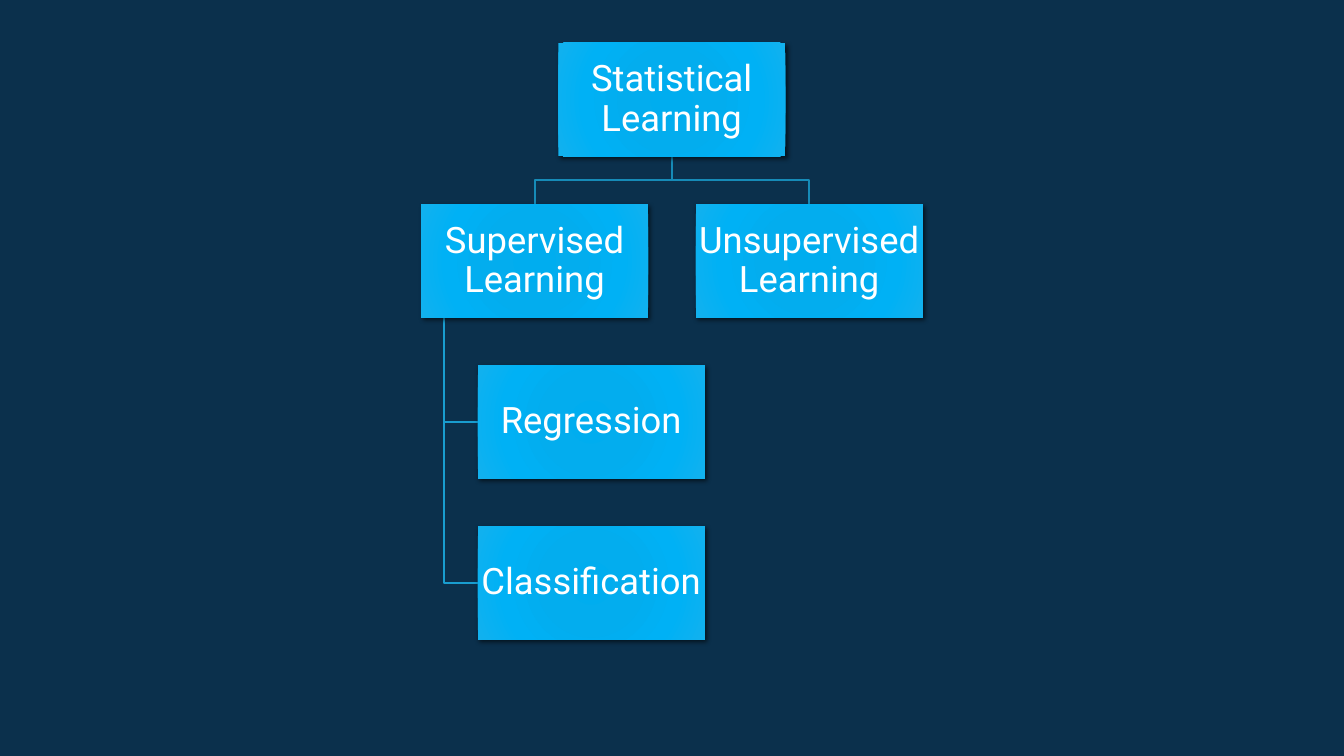
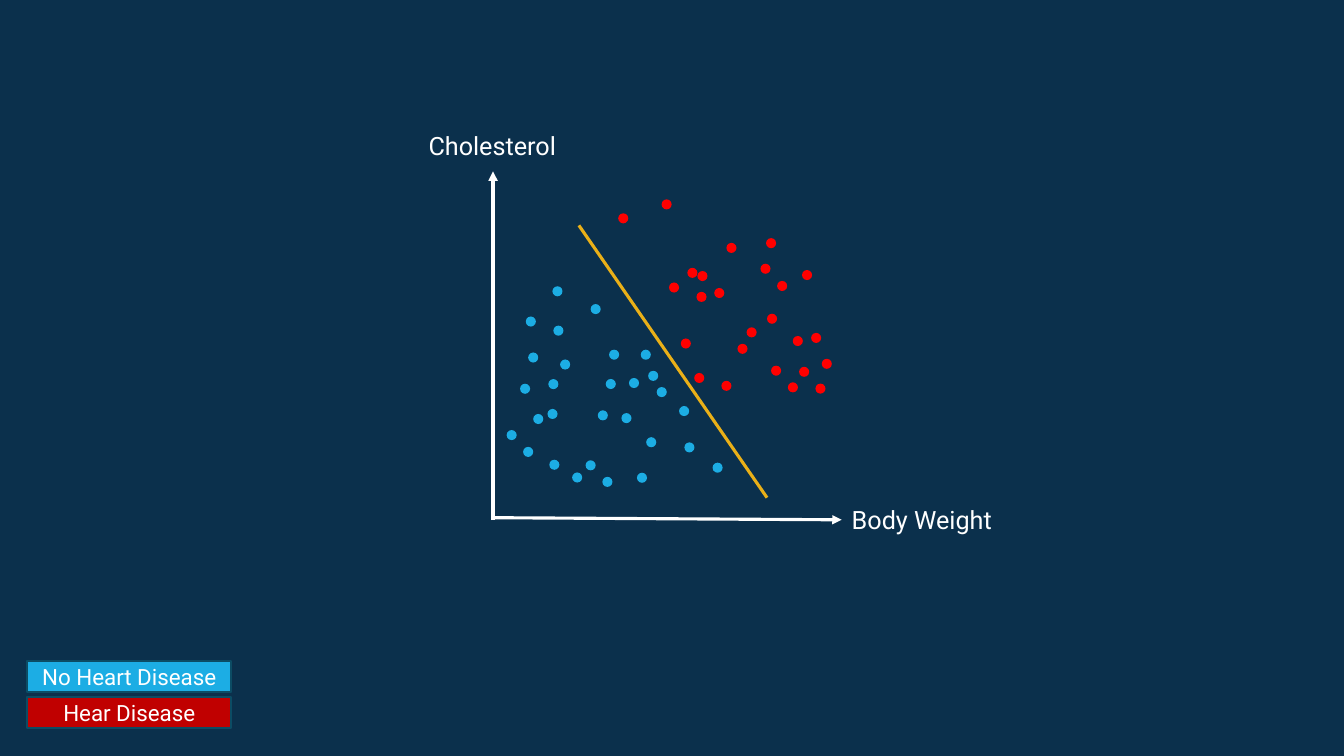
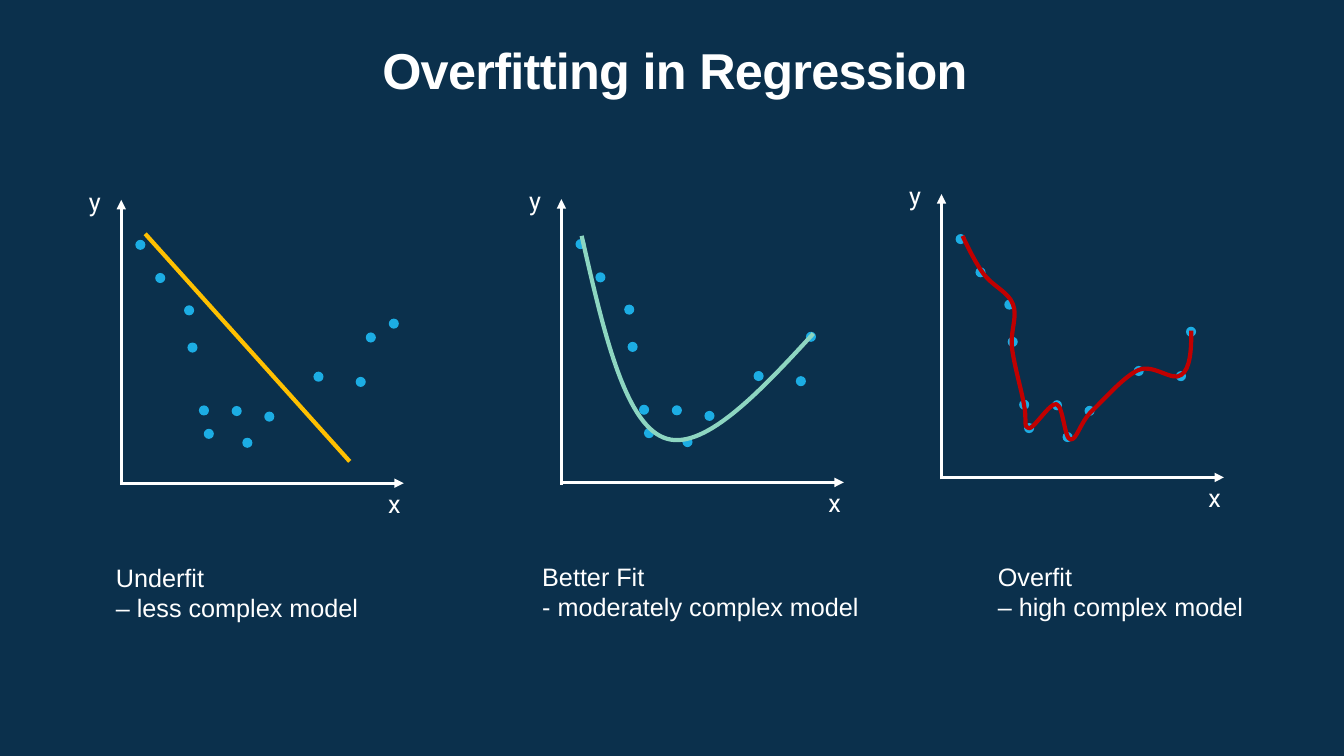
from lxml.etree import SubElement
from pptx import Presentation
from pptx.dml.color import RGBColor
from pptx.enum.shapes import MSO_CONNECTOR, MSO_SHAPE
from pptx.enum.text import MSO_ANCHOR, PP_ALIGN
from pptx.oxml import parse_xml
from pptx.oxml.ns import nsdecls, qn
from pptx.util import Pt

COLORS = {
    "background": "0B304C", "white": "FFFFFF", "blue": "1CADE4",
    "red": "FF0000", "dark_red": "C00000", "legend_edge": "0C4C64",
    "branch": "168BB7", "leaf_branch": "199DCF", "boundary": "EAB018",
    "underfit": "FFC000", "better_fit": "8DD6C1",
}
NODE_GRADIENT = {0: "00ADEF", 34: "03ADEE", 70: "00B1F5", 100: "12B1EE"}
RGB = {name: RGBColor.from_string(value) for name, value in COLORS.items()}

STYLES = {
    "title": {
        "frame": {"word_wrap": True, "vertical_anchor": MSO_ANCHOR.TOP},
        "para": {"alignment": PP_ALIGN.CENTER, "line_spacing": 0.85},
        "font": {"name": "Arial", "size": Pt(36), "bold": True},
        "spacing": "-50",
    },
    "node": {
        "frame": {"word_wrap": True, "vertical_anchor": MSO_ANCHOR.MIDDLE,
                  "margin_left": Pt(1.3), "margin_right": Pt(1.3),
                  "margin_top": Pt(1.3), "margin_bottom": Pt(1.3)},
        "para": {"alignment": PP_ALIGN.CENTER, "line_spacing": 0.9},
        "font": {"name": "Roboto", "size": Pt(26)},
    },
    "label": {
        "frame": {"word_wrap": False},
        "para": {"alignment": PP_ALIGN.LEFT},
        "font": {"name": "Roboto", "size": Pt(18)},
    },
    "legend": {
        "frame": {"word_wrap": True, "vertical_anchor": MSO_ANCHOR.MIDDLE},
        "para": {"alignment": PP_ALIGN.CENTER},
        "font": {"name": "Roboto", "size": Pt(16)},
    },
    "caption": {
        "frame": {"word_wrap": True},
        "para": {"alignment": PP_ALIGN.LEFT},
        "font": {"name": "Arial", "size": Pt(18)},
    },
}


def write(box, lines, style_name):
    style = STYLES[style_name]
    frame = box.text_frame
    for key, value in style["frame"].items():
        setattr(frame, key, value)
    for index, line in enumerate(lines):
        para = frame.add_paragraph() if index else frame.paragraphs[0]
        for key, value in style["para"].items():
            setattr(para, key, value)
        span = para.add_run()
        span.text = line
        for key, value in style["font"].items():
            setattr(span.font, key, value)
        span.font.color.rgb = RGB["white"]
        if "spacing" in style:
            span.font._element.set("spc", style["spacing"])


def stroke(page, points, color, width, arrow=False):
    spots = [(Pt(x), Pt(y)) for x, y in points]
    if len(spots) == 2:
        line = page.shapes.add_connector(MSO_CONNECTOR.STRAIGHT, *spots[0], *spots[1])
    else:
        outline = page.shapes.build_freeform(*spots[0])
        outline.add_line_segments(spots[1:], close=False)
        line = outline.convert_to_shape()
        line.fill.background()
    line.line.color.rgb = RGB[color]
    line.line.width = Pt(width)
    properties = line._element.spPr
    if arrow:
        SubElement(properties.find(qn("a:ln")), qn("a:tailEnd"), type="triangle")
    SubElement(properties, qn("a:effectLst"))
    return line


deck = Presentation()
deck.slide_width, deck.slide_height = Pt(960), Pt(540)
backdrop = deck.slide_master.background.fill
backdrop.solid()
backdrop.fore_color.rgb = RGB["background"]
tree_page, scatter_page, fit_page = [
    deck.slides.add_slide(deck.slide_layouts[6]) for _ in range(3)
]

# Tree
NODE_WIDTH, NODE_HEIGHT = 162.2, 81.1
rows = [30.7 + 115.1 * row for row in range(4)]
root_left, supervised_left, unsupervised_left, leaf_left = 398.8, 300.8, 497, 341.3
root_center = root_left + NODE_WIDTH / 2
root_bottom = rows[0] + NODE_HEIGHT
elbow = (root_bottom + rows[1]) / 2
stem = supervised_left + NODE_WIDTH / 10
branches = [unsupervised_left + NODE_WIDTH / 2, supervised_left + NODE_WIDTH / 2]
for center in branches:
    stroke(tree_page, [(root_center, root_bottom), (root_center, elbow),
                       (center, elbow), (center, rows[1])], "branch", 1.25)
for top in rows[2:]:
    middle = top + NODE_HEIGHT / 2
    stroke(tree_page, [(stem, rows[1] + NODE_HEIGHT), (stem, middle),
                       (leaf_left, middle)], "leaf_branch", 1.25)

stops = "".join(
    f'<a:gs pos="{place * 1000}"><a:srgbClr val="{value}"/></a:gs>'
    for place, value in NODE_GRADIENT.items()
)
gradient = (
    f'<a:gradFill {nsdecls("a")} rotWithShape="1"><a:gsLst>{stops}</a:gsLst>'
    '<a:path path="circle"><a:fillToRect l="100000" t="100000" r="100000" b="100000"/>'
    '</a:path></a:gradFill>'
)
shadow = (
    f'<a:effectLst {nsdecls("a")}><a:outerShdw blurRad="44450" dist="25400" dir="2700000">'
    '<a:srgbClr val="000000"><a:alpha val="60000"/></a:srgbClr></a:outerShdw></a:effectLst>'
)
for text, left, top in [
    ("Statistical Learning", root_left, rows[0]),
    ("Supervised Learning", supervised_left, rows[1]),
    ("Regression", leaf_left, rows[2]),
    ("Classification", leaf_left, rows[3]),
    ("Unsupervised Learning", unsupervised_left, rows[1]),
]:
    node = tree_page.shapes.add_shape(
        MSO_SHAPE.RECTANGLE, Pt(left), Pt(top), Pt(NODE_WIDTH), Pt(NODE_HEIGHT))
    node._element.spPr.append(parse_xml(gradient))
    node.line.fill.background()
    node._element.spPr.append(parse_xml(shadow))
    write(node, [text], "node")

# Axes
origins = [(86.6, 345.1), (401, 344.6), (672.5, 341)]
stroke(scatter_page, [(352.2, 371.5), (352.2, 122.4)], "white", 2.25, arrow=True)
stroke(scatter_page, [(352.2, 369.8), (601.2, 371.3)], "white", 2.25, arrow=True)
for x, y in origins:
    stroke(fit_page, [(x, y + 1.5), (x, y - 202.3)], "white", 2.25, arrow=True)
    stroke(fit_page, [(x, y), (x + 201.8, y)], "white", 2.25, arrow=True)

# Dots
healthy = [
    (394.6, 204.5), (400.1, 256.8), (432.7, 270.7), (421.9, 217.2), (375.6, 226.1),
    (377.3, 251.8), (443.9, 295.1), (395.3, 232.6), (485.1, 290), (455, 337.7),
    (418.3, 328.8), (488.9, 316), (461.6, 312.3), (509, 330.5), (463, 264.9),
    (391.7, 270.8), (371.5, 274.1), (430.3, 340.6), (427, 293.1), (391.1, 292.1),
    (361.9, 307.2), (392.4, 328.4), (373.7, 319.2), (380.9, 295.7), (408.7, 337.5),
    (435.1, 249.8), (457.7, 249.8), (449.3, 270), (469.1, 276.5),
]
diseased = [
    (550.8, 261.2), (566.3, 240), (570.8, 262), (562.8, 273.1), (582.5, 274),
    (587, 256.3), (526.8, 245.6), (472.6, 142.4), (477.9, 201.8), (497.5, 208.5),
    (572.9, 192.9), (518.9, 173.5), (579.4, 237.8), (498.2, 193.6), (510.2, 205.7),
    (495.9, 266.4), (547.2, 170.1), (515.3, 272), (543.2, 188.4), (547.9, 224.1),
    (555.1, 200.7), (491, 191.3), (441.6, 152.4), (533.3, 233.8), (486.3, 241.8),
]
samples = [
    (10.1, -173.8), (24.3, -150.1), (44.9, -127), (47.3, -100.4), (55.5, -55.5),
    (59, -38.8), (78.9, -55.1), (86.5, -32.4), (102.2, -51.1), (137.3, -79.6),
    (167.5, -75.9), (174.7, -107.6),
]
fit_dots = [(x + dx, y + dy) for x, y in origins for dx, dy in samples]
fit_dots.append((277.7, 227.6))
for page, color, dots in [
    (scatter_page, "blue", healthy),
    (scatter_page, "red", diseased),
    (fit_page, "blue", fit_dots),
]:
    for left, top in dots:
        dot = page.shapes.add_shape(MSO_SHAPE.OVAL, Pt(left), Pt(top), Pt(7.2), Pt(7.2))
        dot.shadow.inherit = False
        dot.fill.solid()
        dot.fill.fore_color.rgb = RGB[color]
        dot.line.fill.background()

# Fitted lines
stroke(scatter_page, [(413.5, 161), (547.9, 355.5)], "boundary", 2.25)
stroke(fit_page, [(103.7, 167), (249.8, 329.6)], "underfit", 3)
better_curve = [
    (415.5, 168.5), (430.6, 234.7), (445.7, 301), (473.8, 312.5),
    (501.1, 324), (541.4, 281.5), (581, 238.3),
]
overfit_curve = [
    (687.6, 168.5), (691.9, 177.8), (697, 187.9), (702.7, 195.8),
    (709.2, 204.5), (720.7, 208.8), (723.6, 217.4),
    (727.2, 226.1), (721.4, 236.9), (722.9, 248.4),
    (724.3, 260.6), (730.1, 280.1), (731.5, 289.4),
    (733.7, 298.8), (730.8, 306), (735.1, 306),
    (738.7, 306), (750.2, 287.3), (754.6, 288.7),
    (759.6, 290.2), (760.3, 313.2), (764.6, 313.9),
    (769, 314.6), (771.1, 303.1), (779, 294.5),
    (787.7, 286.6), (802.8, 268.6), (813.6, 264.2),
    (824.4, 259.9), (837.4, 272.9), (843.8, 267.8),
    (850.3, 263.5), (851, 249.8), (851, 236.2),
]
for controls, color in [(better_curve, "better_fit"), (overfit_curve, "dark_red")]:
    curve = stroke(fit_page, controls[::3], color, 3)
    segments = list(curve._element.iter(qn("a:lnTo")))
    for index, segment in enumerate(segments):
        segment.tag = qn("a:cubicBezTo")
        segment.remove(segment[0])
        for x, y in controls[3 * index + 1:3 * index + 4]:
            SubElement(segment, qn("a:pt"),
                       x=str(Pt(x) - curve.left), y=str(Pt(y) - curve.top))

# Text
texts = [
    (scatter_page, ["Body Weight"], "label", (601.3, 356.4, 116, 28.8)),
    (scatter_page, ["Cholesterol"], "label", (299, 89.3, 106.6, 28.8)),
    (fit_page, ["Underfit", "– less complex model"], "caption", (75.7, 398.2, 201.6, 51)),
    (fit_page, ["Overfit", "– high complex model"], "caption", (705.7, 397.4, 208, 51)),
    (fit_page, ["Better Fit", "- moderately complex model"], "caption",
     (380.2, 397.4, 243.4, 51)),
]
for x, y in origins:
    texts.append((fit_page, ["x"], "label", (x + 183.6, y, 23.8, 28.8)))
    texts.append((fit_page, ["y"], "label", (x - 30.2, y - 215.5, 23, 28.8)))
texts.append(
    (fit_page, ["Overfitting in Regression"], "title", (103.6, 31, 756.7, 88.6)))
for page, lines, style_name, place in texts:
    write(page.shapes.add_textbox(*map(Pt, place)), lines, style_name)

for text, color, top in [
    ("No Heart Disease", "blue", 472.2), ("Hear Disease", "dark_red", 497.9)
]:
    key_box = scatter_page.shapes.add_shape(
        MSO_SHAPE.RECTANGLE, Pt(19.4), Pt(top), Pt(145.9), Pt(22.2))
    key_box.shadow.inherit = False
    key_box.fill.solid()
    key_box.fill.fore_color.rgb = RGB[color]
    key_box.line.color.rgb = RGB["legend_edge"]
    key_box.line.width = Pt(1.25)
    write(key_box, [text], "legend")

deck.save("out.pptx")
